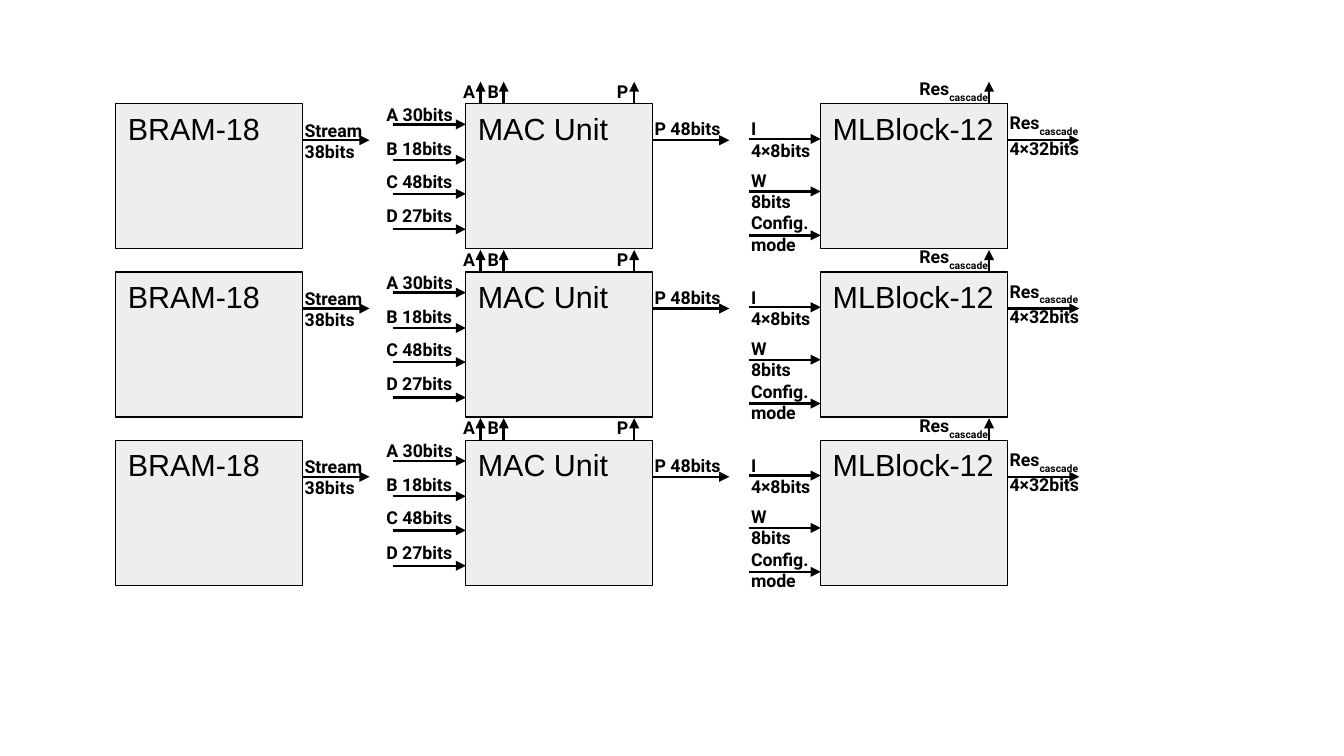
from dataclasses import dataclass

from lxml.etree import SubElement
from pptx import Presentation
from pptx.dml.color import RGBColor
from pptx.enum.shapes import MSO_CONNECTOR as CONN, MSO_SHAPE as SHAPE
from pptx.enum.text import MSO_ANCHOR as ANCHOR, PP_ALIGN as ALIGN
from pptx.oxml.ns import qn
from pptx.util import Inches, Pt


@dataclass(frozen=True)
class Theme:
    ink: RGBColor = RGBColor(0x00, 0x00, 0x00)
    box_fill: RGBColor = RGBColor(0xEE, 0xEE, 0xEE)
    name_font: str = "Arial"
    port_font: str = "Roboto"
    name_size: Pt = Pt(18)
    port_size: Pt = Pt(10.5)
    arrow_width: Pt = Pt(1.42)
    outline_width: Pt = Pt(0)


T = Theme()
NAME_FONT = {"name": T.name_font, "size": T.name_size, "bold": False}
PORT_FONT = {"name": T.port_font, "size": T.port_size, "bold": True}
FRAME = {
    "word_wrap": True,
    "vertical_anchor": ANCHOR.TOP,
    "margin_left": Inches(0.1),
    "margin_right": Inches(0.1),
    "margin_top": Inches(0.05),
    "margin_bottom": Inches(0.05),
}

ROWS, FIRST_TOP, PITCH = 3, 0.85, 1.38
BOX_W, BOX_H = 1.53, 1.19
LABEL_W, LABEL_H = 1.1, 0.26
UP_START, UP_END = 0.01, -0.18

BLOCKS = [
    {
        "name": "BRAM-18", "left": 0.95, "input_start": 0, "input_label": 0,
        "inputs": [],
        "output": (["Stream", "38bits"], 0.08, 3.03),
        "cascades": [],
    },
    {
        "name": "MAC Unit", "left": 3.82, "input_start": 3.22, "input_label": 3.07,
        "inputs": [
            (["A 30bits"], -0.05, 0.17),
            (["B 18bits"], 0.23, 0.46),
            (["C 48bits"], 0.5, 0.74),
            (["D 27bits"], 0.78, 1.03),
        ],
        "output": (["P 48bits"], 0.07, 5.98),
        "cascades": [
            (["A"], 3.7, -0.24, 3.94),
            (["B"], 3.9, -0.24, 4.13),
            (["P"], 4.96, -0.24, 5.2),
        ],
    },
    {
        "name": "MLBlock-12", "left": 6.73, "input_start": 6.14, "input_label": 6.06,
        "inputs": [
            (["I", "4×8bits"], 0.07, 0.29),
            (["W", "8bits"], 0.49, 0.72),
            (["Config.", "mode"], 0.84, 1.08),
        ],
        "output": (["Res_cascade", "4×32bits"], 0.02, 8.85),
        "cascades": [(["Res_cascade"], 7.44, -0.26, 8.11)],
    },
]


def set_all(obj, values):
    for key, value in values.items():
        setattr(obj, key, value)


def add_run(p, text, font, subscript=False):
    r = p.add_run()
    r.text = text
    set_all(r.font, font)
    r.font.color.rgb = T.ink
    if subscript:
        r.font._element.set("baseline", "-33000")


def add_lines(tf, lines, font):
    set_all(tf, FRAME)
    p = tf.paragraphs[0]
    p.alignment = ALIGN.LEFT
    for i, line in enumerate(lines):
        if i:
            p.add_line_break()
        base, _, sub = line.partition("_")
        add_run(p, base, font)
        if sub:
            add_run(p, sub, font, subscript=True)


def add_label(s, left, top, lines):
    tb = s.shapes.add_textbox(
        Inches(left), Inches(top), Inches(LABEL_W), Inches(LABEL_H))
    add_lines(tb.text_frame, lines, PORT_FONT)


def add_box(s, left, top, name):
    sp = s.shapes.add_shape(
        SHAPE.RECTANGLE, Inches(left), Inches(top), Inches(BOX_W), Inches(BOX_H))
    sp.shadow.inherit = False
    sp.fill.solid()
    sp.fill.fore_color.rgb = T.box_fill
    sp.line.color.rgb = T.ink
    sp.line.width = T.outline_width
    add_lines(sp.text_frame, [name], NAME_FONT)


def add_arrow(s, x1, y1, x2, y2):
    c = s.shapes.add_connector(
        CONN.STRAIGHT, Inches(x1), Inches(y1), Inches(x2), Inches(y2))
    c.line.color.rgb = T.ink
    c.line.width = T.arrow_width
    SubElement(c.line._get_or_add_ln(), qn("a:tailEnd"), type="triangle")
    SubElement(c._element.spPr, qn("a:effectLst"))


def add_block(s, block, top):
    left = block["left"]
    right = left + BOX_W
    out_lines, out_dy, out_end = block["output"]
    for _, _, _, x in block["cascades"]:
        add_arrow(s, x, top + UP_START, x, top + UP_END)
    add_box(s, left, top, block["name"])
    for lines, label_dy, arrow_dy in block["inputs"]:
        y = top + arrow_dy
        add_arrow(s, block["input_start"], y, left, y)
        add_label(s, block["input_label"], top + label_dy, lines)
    add_arrow(s, right, top + 0.3, out_end, top + 0.3)
    add_label(s, right - 0.08, top + out_dy, out_lines)
    for lines, x, dy, _ in block["cascades"]:
        add_label(s, x, top + dy, lines)


def main():
    prs = Presentation()
    prs.slide_width, prs.slide_height = Inches(11.02), Inches(6.2)
    s = prs.slides.add_slide(prs.slide_layouts[6])
    for row in range(ROWS):
        for block in BLOCKS:
            add_block(s, block, FIRST_TOP + row * PITCH)
    prs.save("out.pptx")


if __name__ == "__main__":
    main()
